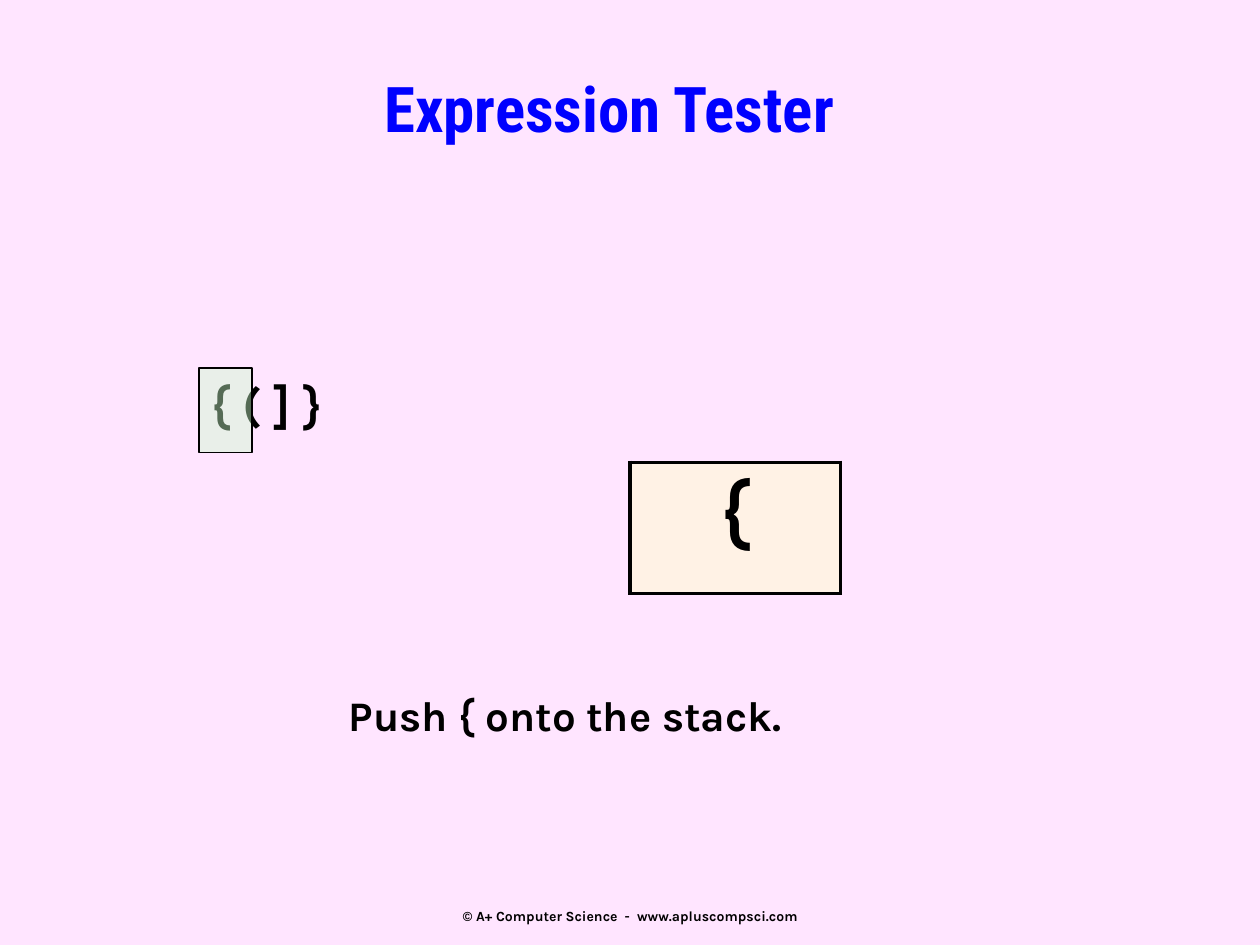
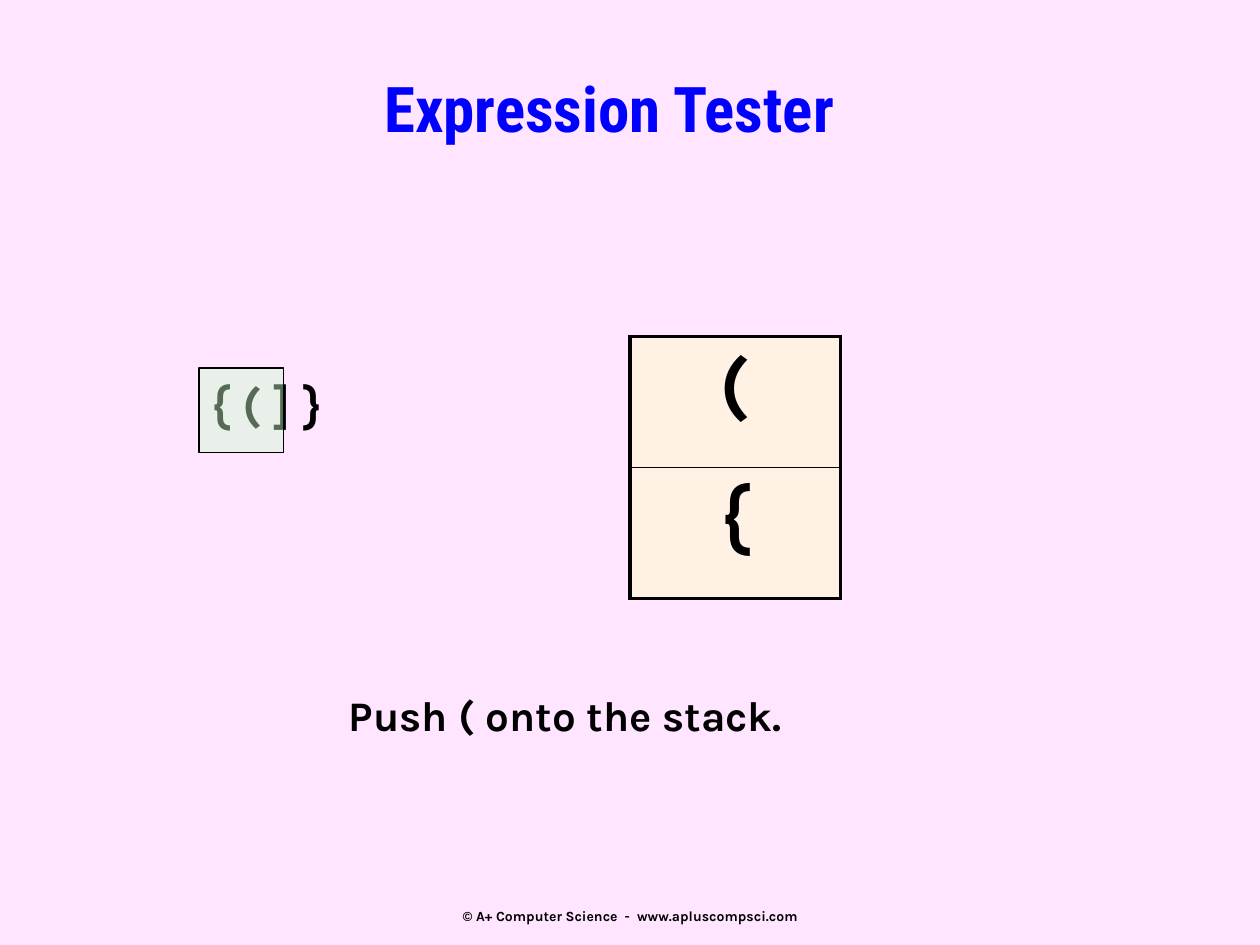
import pptx
import pptx.util
import pptx.dml.color
import pptx.enum.shapes
import pptx.enum.text
import pptx.oxml
import pptx.oxml.ns

Inches = pptx.util.Inches
Pt = pptx.util.Pt
RGB = pptx.dml.color.RGBColor.from_string
PP_ALIGN = pptx.enum.text.PP_ALIGN
ANCHOR = pptx.enum.text.MSO_ANCHOR
qn = pptx.oxml.ns.qn

COLORS = {
    "background": "FFE5FF",
    "title": "0000FF",
    "outline": "CCFFFF",
    "ink": "000000",
    "highlight": "CCFFCC",
    "cell": "FFFFCC",
}
BODY_FONT = "Karla"
TITLE_FONT = "Roboto Condensed"
ROW_HEIGHT = 1.04

SLIDES = [
    {"read": 0.42, "stack": ["{"], "top": 3.67, "step": "Push { onto the stack."},
    {"read": 0.67, "stack": ["(", "{"], "top": 2.67, "step": "Push ( onto the stack."},
]


def write(tf, text, size, align=PP_ALIGN.LEFT, font=BODY_FONT, color="ink"):
    tf.text = text
    p = tf.paragraphs[0]
    p.alignment = align
    r = p.runs[0]
    r.font.name = font
    r.font.size = Pt(size)
    r.font.bold = True
    r.font.color.rgb = RGB(COLORS[color])
    return r


def fill_clear(fill, color, percent):
    fill.solid()
    fill.fore_color.rgb = RGB(COLORS[color])
    rgb = fill._xPr.find(qn("a:solidFill")).find(qn("a:srgbClr"))
    alpha = pptx.oxml.parse_xml(
        f'<a:alpha {pptx.oxml.ns.nsdecls("a")} val="{percent * 1000}"/>')
    rgb.append(alpha)


prs = pptx.Presentation()
prs.slide_width = Inches(10)
prs.slide_height = Inches(7.5)
bg = prs.slide_master.background.fill
bg.solid()
bg.fore_color.rgb = RGB(COLORS["background"])

for step in SLIDES:
    s = prs.slides.add_slide(prs.slide_layouts[5])

    title = s.shapes.title
    title.left, title.top = Inches(1.25), Inches(0.5)
    title.width, title.height = Inches(7.17), Inches(0.83)
    title.text_frame.vertical_anchor = ANCHOR.TOP
    title.text_frame.auto_size = pptx.enum.text.MSO_AUTO_SIZE.NONE
    r = write(title.text_frame, "Expression Tester", 36, PP_ALIGN.CENTER, TITLE_FONT, "title")
    outline = pptx.oxml.parse_xml(
        f'<a:ln {pptx.oxml.ns.nsdecls("a")} w="{Pt(0.75)}"><a:solidFill>'
        f'<a:srgbClr val="{COLORS["outline"]}"/></a:solidFill></a:ln>')
    r.font._element.insert(0, outline)

    for text, size, align, anchor, box in [
        ("{ ( ] }", 28, PP_ALIGN.LEFT, ANCHOR.TOP, (1.58, 2.92, 1.4, 0.67)),
        (step["step"], 24, PP_ALIGN.LEFT, ANCHOR.TOP, (2.67, 5.42, 4.08, 0.5)),
        ("© A+ Computer Science  -  www.apluscompsci.com", 8, PP_ALIGN.CENTER,
         ANCHOR.MIDDLE, (3.42, 7.04, 3.17, 0.5 - 0.04)),
    ]:
        tf = s.shapes.add_textbox(*map(Inches, box)).text_frame
        tf.word_wrap = True
        tf.vertical_anchor = anchor
        write(tf, text, size, align)

    sp = s.shapes.add_shape(pptx.enum.shapes.MSO_SHAPE.RECTANGLE, Inches(1.58),
                            Inches(2.92), Inches(step["read"]), Inches(0.67))
    sp.shadow.inherit = False
    fill_clear(sp.fill, "highlight", 42)
    sp.line.color.rgb = RGB(COLORS["ink"])
    sp.line.width = Pt(0.75)

    stack = step["stack"]
    table = s.shapes.add_table(len(stack), 1, Inches(5), Inches(step["top"]),
                               Inches(1.67), Inches(ROW_HEIGHT * len(stack))).table
    table.first_row = False
    table.horz_banding = False
    for i, symbol in enumerate(stack):
        table.rows[i].height = Inches(ROW_HEIGHT)
        cell = table.cell(i, 0)
        write(cell.text_frame, symbol, 44, PP_ALIGN.CENTER)
        fill_clear(cell.fill, "cell", 50)
        top = 2.25 if i == 0 else 1
        bottom = 2.25 if i == len(stack) - 1 else 1
        edges = [("lnL", 2.25), ("lnR", 2.25), ("lnT", top), ("lnB", bottom)]
        for n, (edge, width) in enumerate(edges):
            border = pptx.oxml.parse_xml(
                f'<a:{edge} {pptx.oxml.ns.nsdecls("a")} w="{Pt(width)}"><a:solidFill>'
                f'<a:srgbClr val="{COLORS["ink"]}"/></a:solidFill></a:{edge}>')
            cell._tc.get_or_add_tcPr().insert(n, border)

prs.save("out.pptx")
